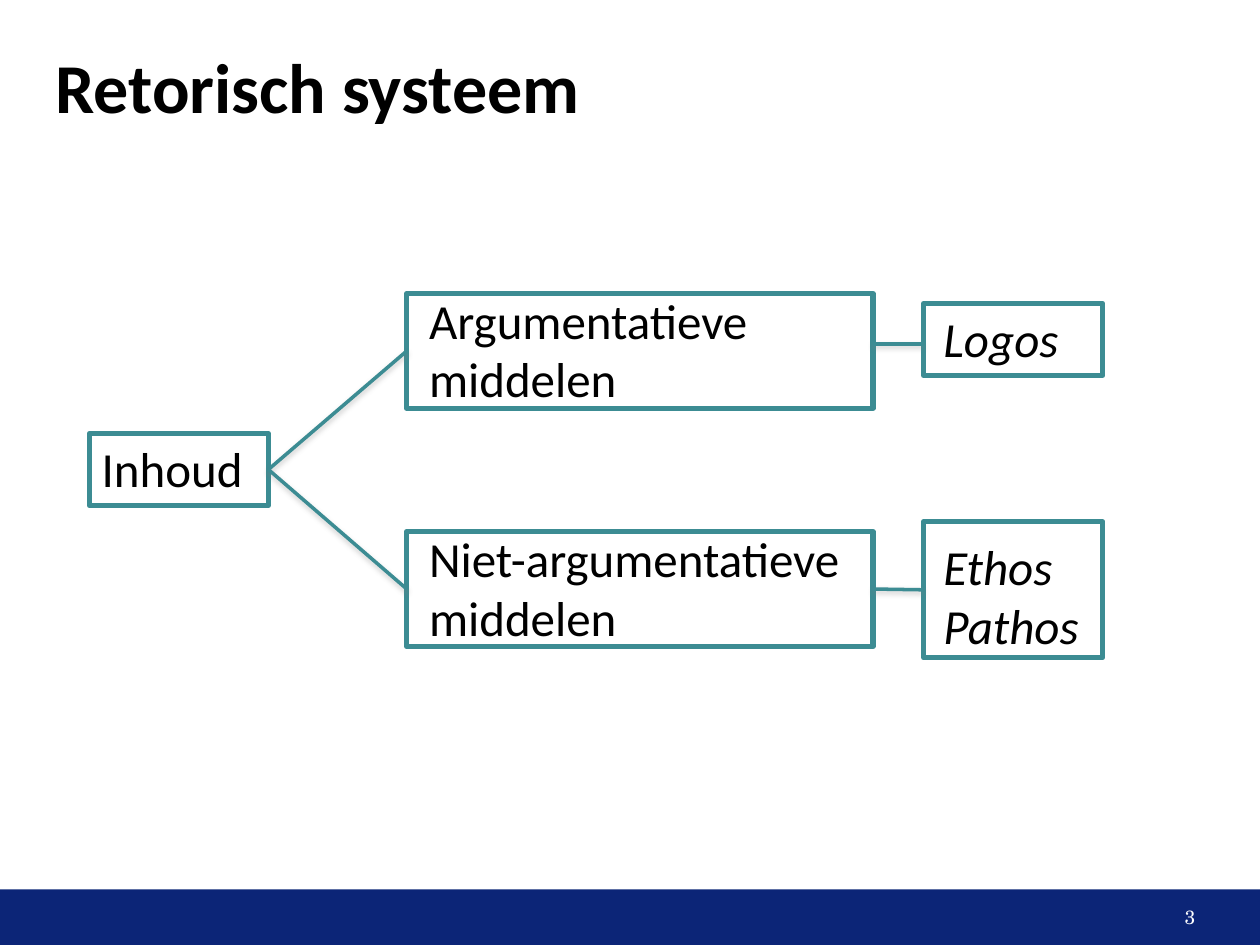
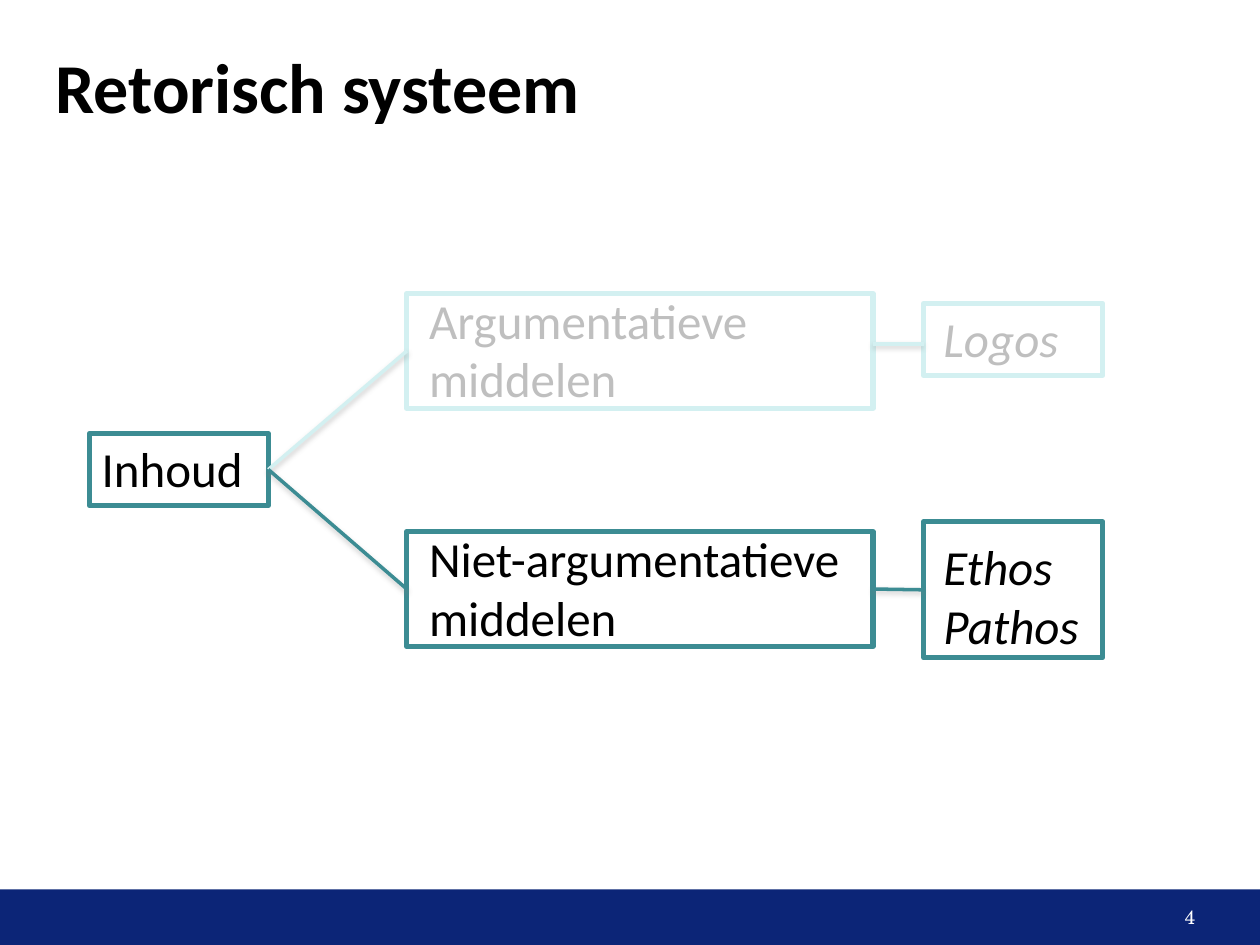
from pptx import Presentation
from pptx.dml.color import RGBColor
from pptx.enum.shapes import MSO_CONNECTOR, MSO_SHAPE
from pptx.enum.text import MSO_ANCHOR, MSO_AUTO_SIZE, PP_ALIGN
from pptx.oxml import parse_xml
from pptx.oxml.ns import nsdecls
from pptx.util import Cm, Pt

COLORS = {
    "black": "000000",
    "white": "FFFFFF",
    "navy": "0C2577",
    "teal": "3C8C93",
    "pale_teal": "D3F0F1",
    "grey": "BFBFBF",
}
FIRST_NUMBER = 3
TOP, LEFT, BOTTOM, RIGHT = range(4)
SHADOW = (
    f'<a:effectLst {nsdecls("a")}>'
    '<a:outerShdw blurRad="40000" dist="20000" dir="5400000" rotWithShape="0">'
    '<a:srgbClr val="808080"><a:alpha val="38000"/></a:srgbClr>'
    "</a:outerShdw></a:effectLst>"
)


def color(name):
    """Return the named colour of the palette."""
    return RGBColor.from_string(COLORS[name])


def set_font(para, size, color_name, name="Calibri", bold=False, italic=False):
    """Format all text of a paragraph."""
    font = para.font
    font.name, font.size, font.bold, font.italic = name, Pt(size), bold, italic
    font.color.rgb = color(color_name)


def set_margins(frame, left=0, top=0, right=0, bottom=0):
    """Set the inner margins of a text frame in centimetres."""
    frame.margin_left, frame.margin_top = Cm(left), Cm(top)
    frame.margin_right, frame.margin_bottom = Cm(right), Cm(bottom)


def add_title(page, text, left, top, width, height):
    """Fill and place the title placeholder."""
    title = page.shapes.title
    title.left, title.top, title.width, title.height = map(Cm, (left, top, width, height))
    frame = title.text_frame
    frame.text = text
    frame.auto_size = MSO_AUTO_SIZE.NONE
    frame.vertical_anchor = MSO_ANCHOR.MIDDLE
    set_margins(frame)
    para = frame.paragraphs[0]
    para.alignment = PP_ALIGN.LEFT
    set_font(para, 40, "black", bold=True)


def add_footer(page, number, left, top, width, height):
    """Draw the band with the slide number at its right."""
    band = page.shapes.add_shape(MSO_SHAPE.RECTANGLE, *map(Cm, (left, top, width, height)))
    band.shadow.inherit = False
    band.fill.solid()
    band.fill.fore_color.rgb = color("navy")
    band.line.fill.background()
    frame = band.text_frame
    frame.vertical_anchor = MSO_ANCHOR.MIDDLE
    set_margins(frame, right=1.3)
    para = frame.paragraphs[0]
    para.alignment = PP_ALIGN.RIGHT
    set_font(para, 11, "white", "TeX Gyre Schola")
    para.add_run().text = str(number)


def add_node(page, text, left, top, width, height, indent, faint=False, italic=False, drop=0):
    """Draw an outlined box whose text sits slightly off its middle."""
    node = page.shapes.add_shape(MSO_SHAPE.RECTANGLE, *map(Cm, (left, top, width, height)))
    node.shadow.inherit = False
    node.fill.background()
    node.line.color.rgb = color("pale_teal" if faint else "teal")
    node.line.width = Pt(3)
    frame = node.text_frame
    frame.word_wrap = True
    frame.vertical_anchor = MSO_ANCHOR.MIDDLE
    set_margins(frame, left=indent, top=drop, bottom=0 if drop else 0.08)
    frame.text = text
    for para in frame.paragraphs:
        para.alignment = PP_ALIGN.LEFT
        set_font(para, 28, "grey" if faint else "black", italic=italic)
    return node


def add_link(page, start, end, faint=False, level=None):
    """Link two boxes at their sides, or straight across at a given level."""
    link = page.shapes.add_connector(
        MSO_CONNECTOR.STRAIGHT, start.left + start.width, level or 0, end.left, level or 0)
    if level is None:
        link.begin_connect(start, RIGHT)
        link.end_connect(end, LEFT)
    link.line.color.rgb = color("pale_teal" if faint else "teal")
    link.line.width = Pt(2)
    link.element.spPr.append(parse_xml(SHADOW))


def add_diagram(page, left, top, faint):
    """Draw the tree of means, with its upper branch faint if asked."""
    middle, end = left + 6.4, left + 16.82
    content = add_node(page, "Inhoud", left, top + 2.82, 3.61, 1.45, 0.25)
    arguments = add_node(page, "Argumentatieve\nmiddelen", middle, top, 9.4, 2.31, 0.45, faint)
    others = add_node(page, "Niet-argumentatieve\nmiddelen", middle, top + 4.8, 9.4, 2.31, 0.45)
    logos = add_node(page, "Logos", end, top + 0.2, 3.61, 1.45, 0.4, faint, italic=True)
    ethos = add_node(
        page, "Ethos\nPathos", end, top + 4.6, 3.61, 2.74, 0.4, italic=True, drop=0.23)
    add_link(page, content, arguments, faint)
    add_link(page, content, others)
    add_link(page, others, ethos)
    add_link(page, arguments, logos, faint, Cm(top + 1.01))


def add_system_page(deck, number, faint):
    """Add one page with title, diagram and footer."""
    page = deck.slides.add_slide(deck.slide_layouts[5])
    add_footer(page, number, 0, 17.93, 25.4, 1.12)
    add_title(page, "Retorisch systeem", 1.12, 1.12, 23.14, 1.19)
    add_diagram(page, 1.8, 5.92, faint)


def main():
    """Build and save the deck."""
    deck = Presentation()
    deck.slide_width, deck.slide_height = Cm(25.4), Cm(19.05)
    for number, faint in enumerate((False, True), FIRST_NUMBER):
        add_system_page(deck, number, faint)
    deck.save("out.pptx")


if __name__ == "__main__":
    main()
